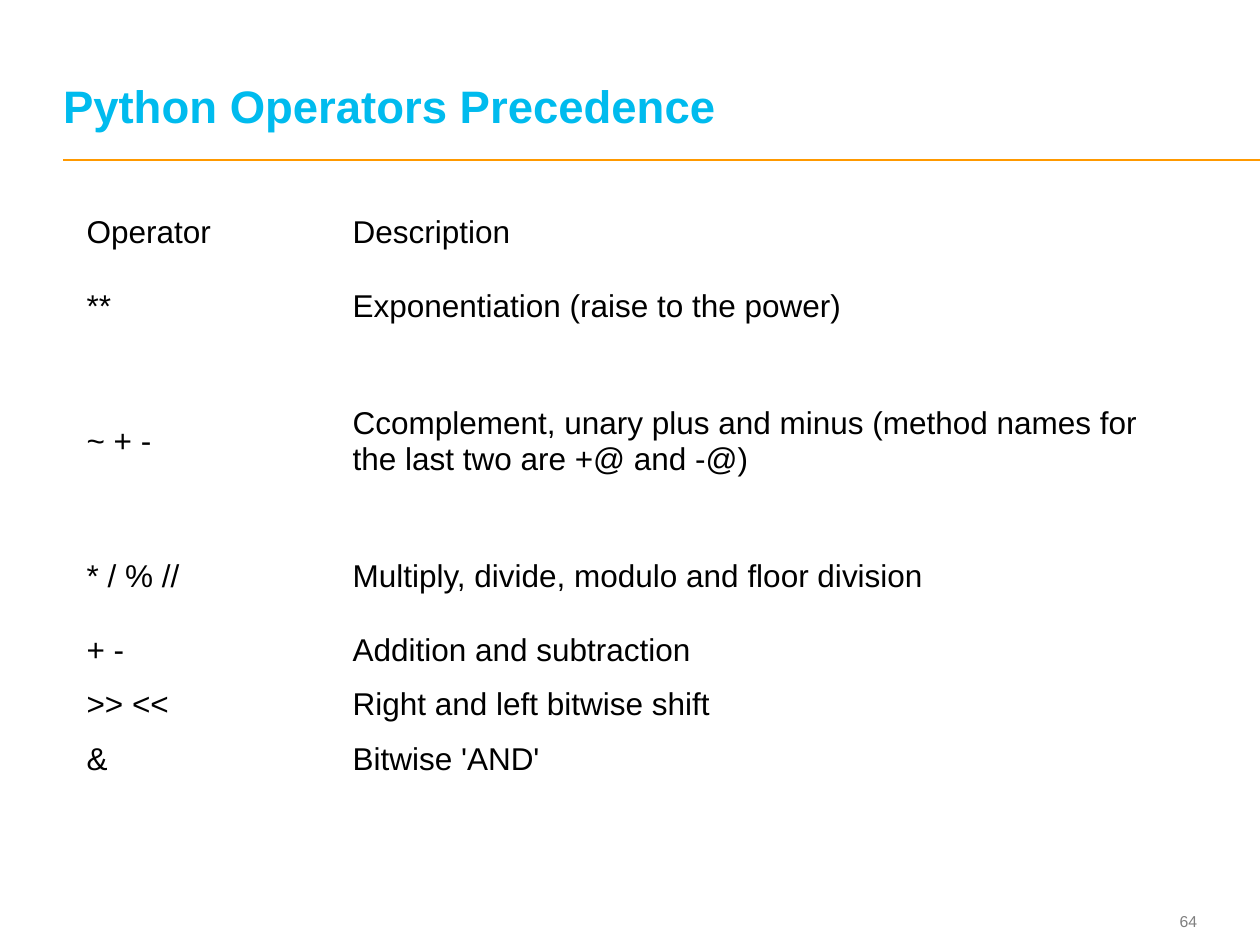
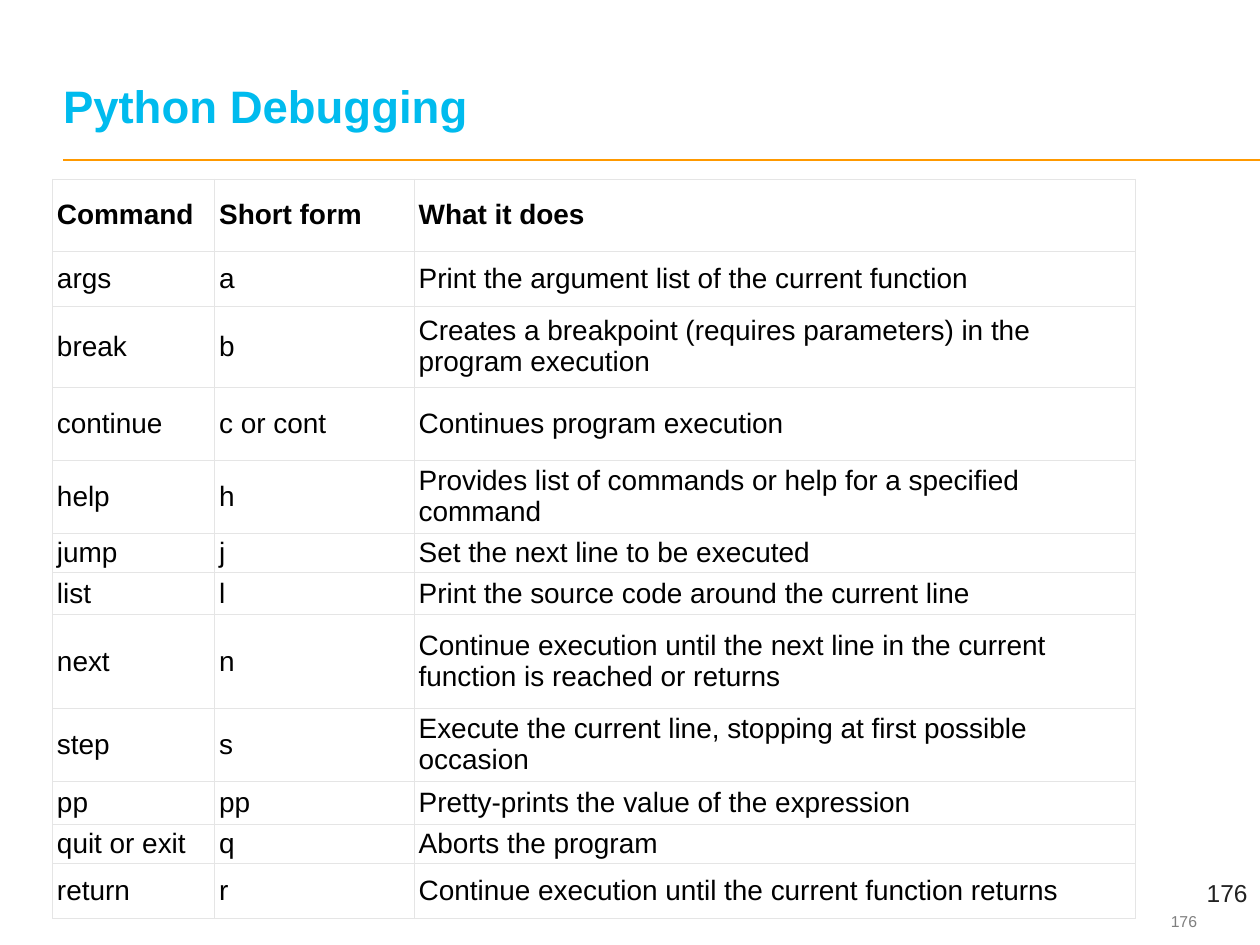
from lxml.etree import SubElement
from pptx import Presentation
from pptx.dml.color import RGBColor
from pptx.enum.shapes import MSO_CONNECTOR as Connector
from pptx.enum.text import MSO_ANCHOR as Anchor, PP_ALIGN as Align
from pptx.oxml.ns import qn
from pptx.util import Pt

COLORS = {
    "title": "00BBEE",
    "rule": "FF9900",
    "footer": "7F7F7F",
    "number": "222222",
    "text": "000000",
    "cell": "FFFFFF",
    "border": "E5E5E5",
}
FONT = "Arial"
SLIDE_WIDTH, SLIDE_HEIGHT = 720, 540
MARGIN = 36

OPERATORS = [
    (31, "Operator", "Description"),
    (54, "**", "Exponentiation (raise to the power)"),
    (100, "~ + -", "Ccomplement, unary plus and minus (method names for the last two are +@ and -@)"),
    (54, "* / % //", "Multiply, divide, modulo and floor division"),
    (31, "+ -", "Addition and subtraction"),
    (31, ">> <<", "Right and left bitwise shift"),
    (31, "&", "Bitwise 'AND'"),
]

COMMANDS = [
    (41, "Command", "Short form", "What it does"),
    (31.7, "args", "a", "Print the argument list of the current function"),
    (46, "break", "b", "Creates a breakpoint (requires parameters) in the program execution"),
    (41.7, "continue", "c or cont", "Continues program execution"),
    (41.7, "help", "h", "Provides list of commands or help for a specified command"),
    (22.3, "jump", "j", "Set the next line to be executed"),
    (24.5, "list", "l", "Print the source code around the current line"),
    (53.5, "next", "n", "Continue execution until the next line in the current function is reached or returns"),
    (41.5, "step", "s", "Execute the current line, stopping at first possible occasion"),
    (24.7, "pp", "pp", "Pretty-prints the value of the expression"),
    (22.3, "quit or exit", "q", "Aborts the program"),
    (31.7, "return", "r", "Continue execution until the current function returns"),
]


class Deck:
    def __init__(self):
        self.presentation = Presentation()
        self.presentation.slide_width = Pt(SLIDE_WIDTH)
        self.presentation.slide_height = Pt(SLIDE_HEIGHT)
        self.slide = None

    def color(self, name):
        return RGBColor.from_string(COLORS[name])

    def style(self, paragraph, size, color, bold=False):
        font = paragraph.font
        font.name, font.size, font.bold = FONT, Pt(size), bold
        font.color.rgb = self.color(color)

    def start_slide(self, title, number):
        layout = self.presentation.slide_layouts[6]
        self.slide = self.presentation.slides.add_slide(layout)
        self.rule(MARGIN, 91.4, SLIDE_WIDTH)
        self.text(number, (641.5, 517, 42.5, 19.4), 9, "footer", align=Align.RIGHT)
        heading = self.text(title, (MARGIN, 13.7, 646, 62), 26, "title", bold=True, anchor=Anchor.BOTTOM)
        heading.line_spacing = Pt(26)

    def rule(self, left, top, right):
        line = self.slide.shapes.add_connector(Connector.STRAIGHT, Pt(left), Pt(top), Pt(right), Pt(top))
        line.line.color.rgb = self.color("rule")
        line.line.width = Pt(1)
        SubElement(line._element.spPr, qn("a:effectLst"))

    def text(self, words, box, size, color, bold=False, align=Align.LEFT, anchor=Anchor.MIDDLE, insets=(0, 0)):
        frame = self.slide.shapes.add_textbox(*map(Pt, box)).text_frame
        frame.word_wrap = True
        frame.vertical_anchor = anchor
        frame.margin_left = frame.margin_right = Pt(insets[0])
        frame.margin_top = frame.margin_bottom = Pt(insets[1])
        paragraph = frame.paragraphs[0]
        paragraph.text = words
        paragraph.alignment = align
        self.style(paragraph, size, color, bold)
        return paragraph

    def table(self, rows, left, top, widths, size, insets, bold_header=False, grid=False):
        height = sum(row[0] for row in rows)
        frame = self.slide.shapes.add_table(
            len(rows), len(widths), Pt(left), Pt(top), Pt(sum(widths)), Pt(height))
        table = frame.table
        table.first_row = table.horz_banding = False
        for column, width in zip(table.columns, widths):
            column.width = Pt(width)
        for index, (row_height, *words) in enumerate(rows):
            table.rows[index].height = Pt(row_height)
            for cell, label in zip(table.rows[index].cells, words):
                self.cell(cell, label, size, insets, bold_header and index == 0, grid)

    def cell(self, cell, label, size, insets, bold, grid):
        cell.vertical_anchor = Anchor.MIDDLE
        cell.margin_left = cell.margin_right = Pt(insets[0])
        cell.margin_top = cell.margin_bottom = Pt(insets[1])
        paragraph = cell.text_frame.paragraphs[0]
        paragraph.text = label
        self.style(paragraph, size, "text", bold)
        if grid:
            self.borders(cell)
            cell.fill.solid()
            cell.fill.fore_color.rgb = self.color("cell")
        else:
            cell.fill.background()

    def borders(self, cell):
        properties = cell._tc.get_or_add_tcPr()
        for side in ("L", "R", "T", "B"):
            edge = SubElement(properties, qn(f"a:ln{side}"), w=str(Pt(0.6)))
            fill = SubElement(edge, qn("a:solidFill"))
            SubElement(fill, qn("a:srgbClr"), val=COLORS["border"])


def main():
    deck = Deck()

    deck.start_slide("Python Operators Precedence", "64")
    deck.table(OPERATORS, 42.3, 117.4, (152, 475), 18, (7.2, 3.6))

    deck.start_slide("Python Debugging", "176")
    deck.text("176", (558, 498, 162, 30), 14, "number", align=Align.RIGHT, anchor=Anchor.TOP, insets=(7.2, 3.6))
    deck.table(COMMANDS, 30, 102.5, (92.7, 114, 412.3), 16, (2.6, 1.3), bold_header=True, grid=True)

    deck.presentation.save("out.pptx")


if __name__ == "__main__":
    main()
